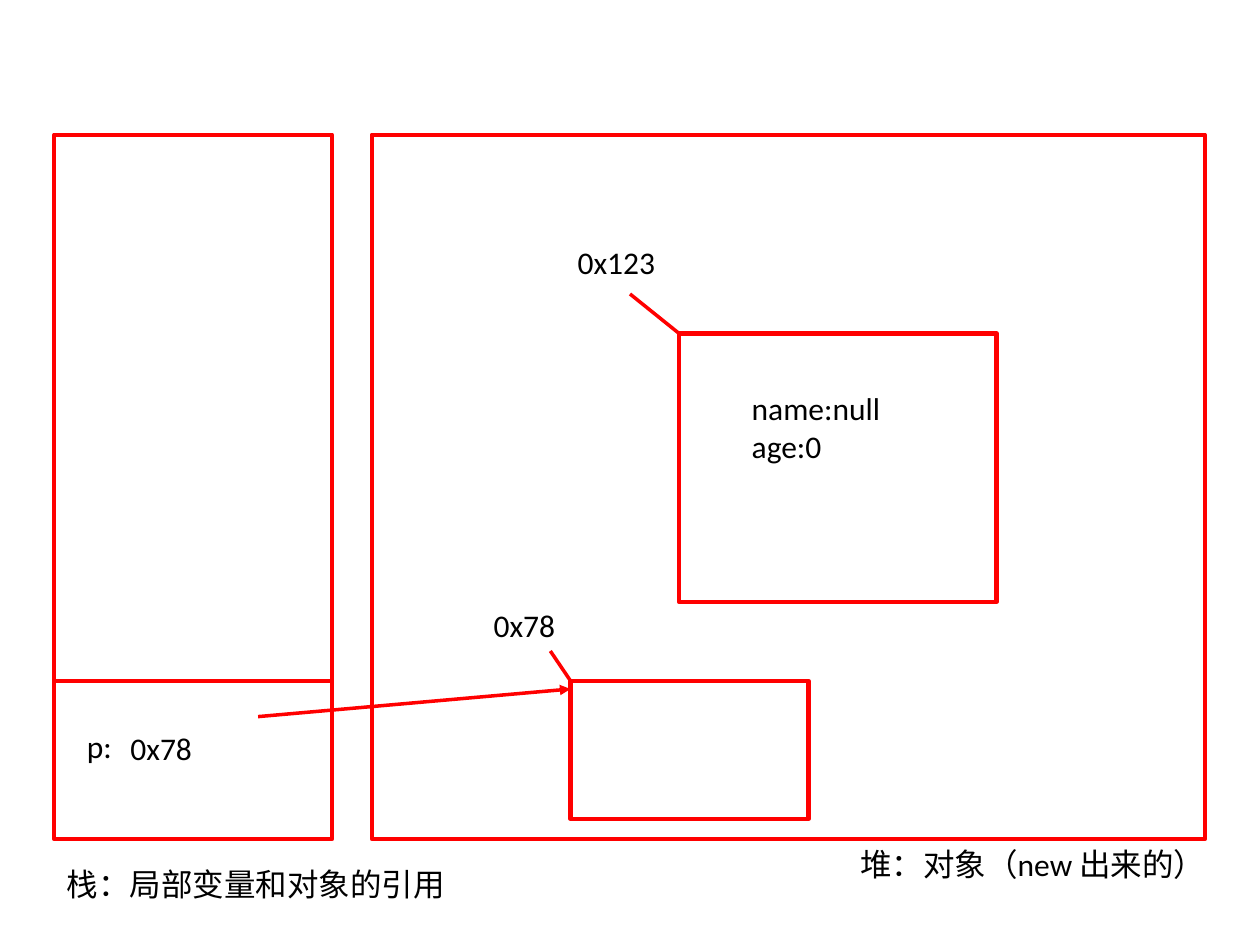
"""Build a slide showing stack references and heap objects in memory."""
from lxml import etree
from pptx import Presentation
from pptx.dml.color import RGBColor
from pptx.enum.shapes import MSO_CONNECTOR, MSO_SHAPE
from pptx.enum.text import MSO_AUTO_SIZE
from pptx.oxml.ns import qn
from pptx.util import Pt

RECTANGLE = MSO_SHAPE.RECTANGLE
STRAIGHT = MSO_CONNECTOR.STRAIGHT
GROW = MSO_AUTO_SIZE.SHAPE_TO_FIT_TEXT
RED = "FF0000"
BLACK = "000000"


def color(hex_value):
    """Turn a hex string into a colour."""
    return RGBColor.from_string(hex_value)


def add_box(slide, left, top, width, height):
    """Draw an unfilled memory block."""
    box = slide.shapes.add_shape(RECTANGLE, Pt(left), Pt(top), Pt(width), Pt(height))
    box.shadow.inherit = False
    box.fill.background()
    box.line.color.rgb = color(RED)
    box.line.width = Pt(2.5)


def add_line(slide, start, end, arrow=False):
    """Draw a straight line between two points, with an optional arrowhead."""
    line = slide.shapes.add_connector(STRAIGHT, *map(Pt, start + end))
    line.line.color.rgb = color(RED)
    line.line.width = Pt(2)
    properties = line._element.spPr
    etree.SubElement(properties, qn("a:effectLst"))
    if arrow:
        etree.SubElement(properties.find(qn("a:ln")), qn("a:tailEnd"), type="triangle")


def add_text(slide, text, left, top, width, height=29, size=18, font="Calibri", fill=BLACK):
    """Place a text with one paragraph for each of its lines."""
    label = slide.shapes.add_textbox(Pt(left), Pt(top), Pt(width), Pt(height))
    frame = label.text_frame
    frame.word_wrap = True
    frame.auto_size = GROW
    frame.text = text
    for paragraph in frame.paragraphs:
        for run in paragraph.runs:
            run.font.size = Pt(size)
            run.font.name = font
            run.font.color.rgb = color(fill)


def main():
    """Compose the memory diagram and save it."""
    deck = Presentation()
    deck.slide_width, deck.slide_height = Pt(720), Pt(540)
    slide = deck.slides.add_slide(deck.slide_layouts[6])

    stack_left, stack_width = 31, 158.75
    memory_top, memory_height = 77, 402.5
    person_left, person_top = 388, 190.5
    target_left, target_top = 326, 389

    add_box(slide, stack_left, memory_top, stack_width, memory_height)
    add_box(slide, 212.5, memory_top, 476, memory_height)
    add_text(slide, "栈：局部变量和对象的引用", stack_left, 491, 232.5)
    add_text(slide, "堆：对象（new 出来的）", 484.5, 479.5, 235.5)

    add_line(slide, (stack_left, target_top), (stack_left + stack_width, target_top))
    add_text(slide, "p:", 42.5, 412, 60)

    add_box(slide, person_left, person_top, 181.5, 153.5)
    add_text(slide, "name:null\nage:0", 422.5, 219, 119, height=51)
    add_line(slide, (person_left, person_top), (360, 168))
    add_text(slide, "0x123", 323, 135.5, 130)

    add_box(slide, target_left, target_top, 136, 79)
    add_line(slide, (target_left, target_top), (314.5, 372))
    add_text(slide, "0x78", 275, 342.5, 119)
    add_text(slide, "0x78", 67.5, 413, 119)
    add_line(slide, (147.5, 409.5), (target_left, 393.75), arrow=True)

    deck.save("out.pptx")


if __name__ == "__main__":
    main()
